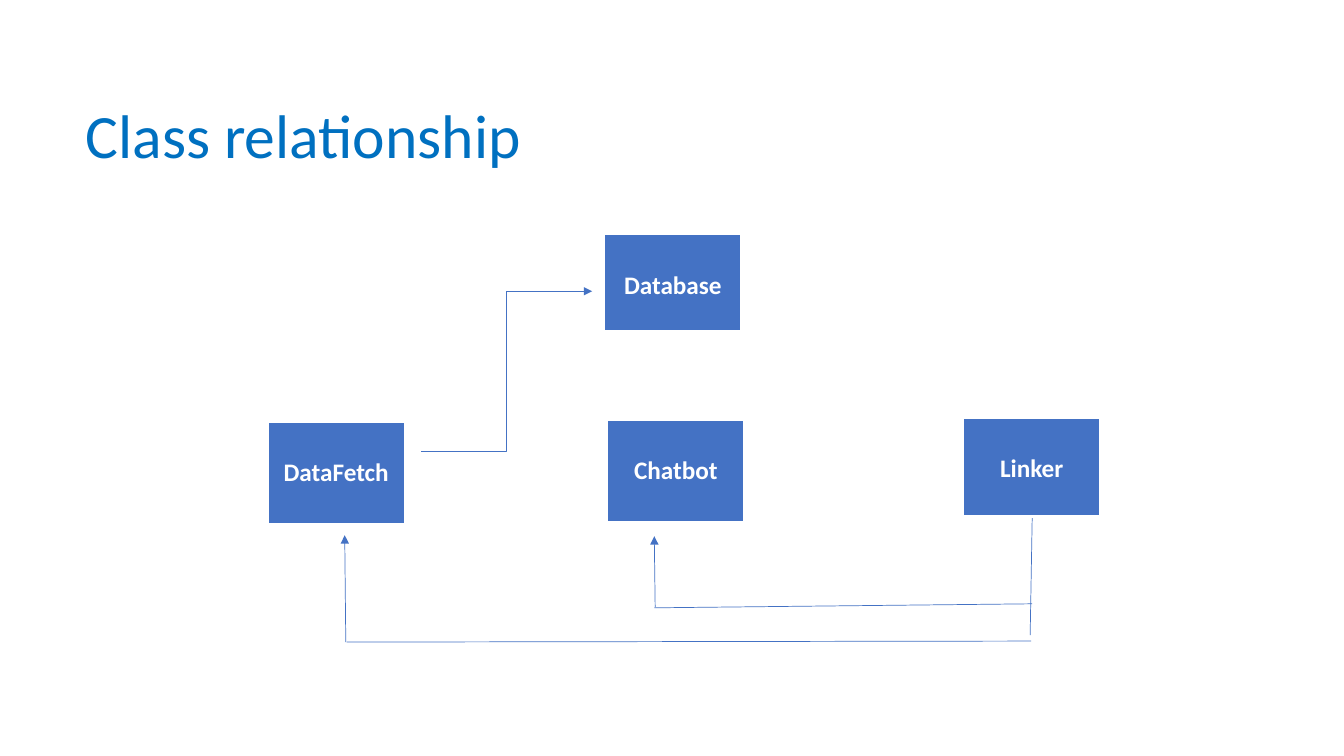
import pptx
import pptx.dml.color
import pptx.enum.shapes
import pptx.enum.text
import pptx.oxml.ns
import pptx.util
from lxml import etree

COLORS = {"title": "0070C0", "box": "4472C4", "line": "4472C4", "label": "FFFFFF"}


def rgb(name):
    return pptx.dml.color.RGBColor.from_string(COLORS[name])


class ClassDiagram:
    font = "Calibri"
    line_width = pptx.util.Pt(0.5)

    def __init__(self, deck):
        self.width, self.height = deck.slide_width, deck.slide_height
        self.slide = deck.slides.add_slide(deck.slide_layouts[6])

    def place(self, *shares):
        sides = (self.width, self.height) * 2
        return [round(share * side / 100) for share, side in zip(shares, sides)]

    def add_words(self, paragraph, text, size, color, bold=False):
        run = paragraph.add_run()
        run.text = text
        run.font.name = self.font
        run.font.size = pptx.util.Pt(size)
        run.font.bold = bold
        run.font.color.rgb = rgb(color)

    def title(self, text, *area):
        heading = self.slide.shapes.add_textbox(*self.place(*area)).text_frame
        heading.word_wrap = True
        heading.vertical_anchor = pptx.enum.text.MSO_ANCHOR.MIDDLE
        heading.paragraphs[0].line_spacing = 0.9
        self.add_words(heading.paragraphs[0], text, 44, "title")

    def class_box(self, text, left, top, height):
        area = self.place(left, top, 10.13, height)
        cell = self.slide.shapes.add_table(1, 1, *area).table.cell(0, 0)
        cell.fill.solid()
        cell.fill.fore_color.rgb = rgb("box")
        cell.margin_top = pptx.util.Inches(0.35)
        label = cell.text_frame.paragraphs[0]
        label.alignment = pptx.enum.text.PP_ALIGN.CENTER
        self.add_words(label, text, 18, "label", bold=True)

    def link(self, start, end, arrow=False, bent=False):
        kinds = pptx.enum.shapes.MSO_CONNECTOR
        kind = kinds.ELBOW if bent else kinds.STRAIGHT
        link = self.slide.shapes.add_connector(kind, *self.place(*start, *end))
        link.line.color.rgb = rgb("line")
        link.line.width = self.line_width
        properties = link._element.spPr
        if arrow:
            outline = properties.find(pptx.oxml.ns.qn("a:ln"))
            etree.SubElement(outline, pptx.oxml.ns.qn("a:tailEnd"), type="triangle")
        etree.SubElement(properties, pptx.oxml.ns.qn("a:effectLst"))


def main():
    deck = pptx.Presentation()
    deck.slide_width = pptx.util.Inches(13.33)
    deck.slide_height = pptx.util.Inches(7.5)
    diagram = ClassDiagram(deck)

    diagram.title("Class relationship", 5.63, 8.67, 87.15, 19.33)

    for name, left, top, height in (
        ("DataFetch", 19.95, 55.87, 13.33),
        ("Chatbot", 45.23, 55.6, 13.33),
        ("Linker", 71.7, 55.33, 12.93),
        ("Database", 45, 31.07, 12.67),
    ):
        diagram.class_box(name, left, top, height)

    diagram.link((31.35, 59.73), (44.06, 38.53), arrow=True, bent=True)
    for start, end, arrow in (
        ((25.73, 84.93), (25.65, 70.8), True),
        ((25.8, 84.93), (76.73, 84.8), False),
        ((76.8, 68.53), (76.65, 84), False),
        ((48.75, 80.27), (48.68, 70.93), True),
        ((48.68, 80.4), (76.8, 79.87), False),
    ):
        diagram.link(start, end, arrow)

    deck.save("out.pptx")


if __name__ == "__main__":
    main()
